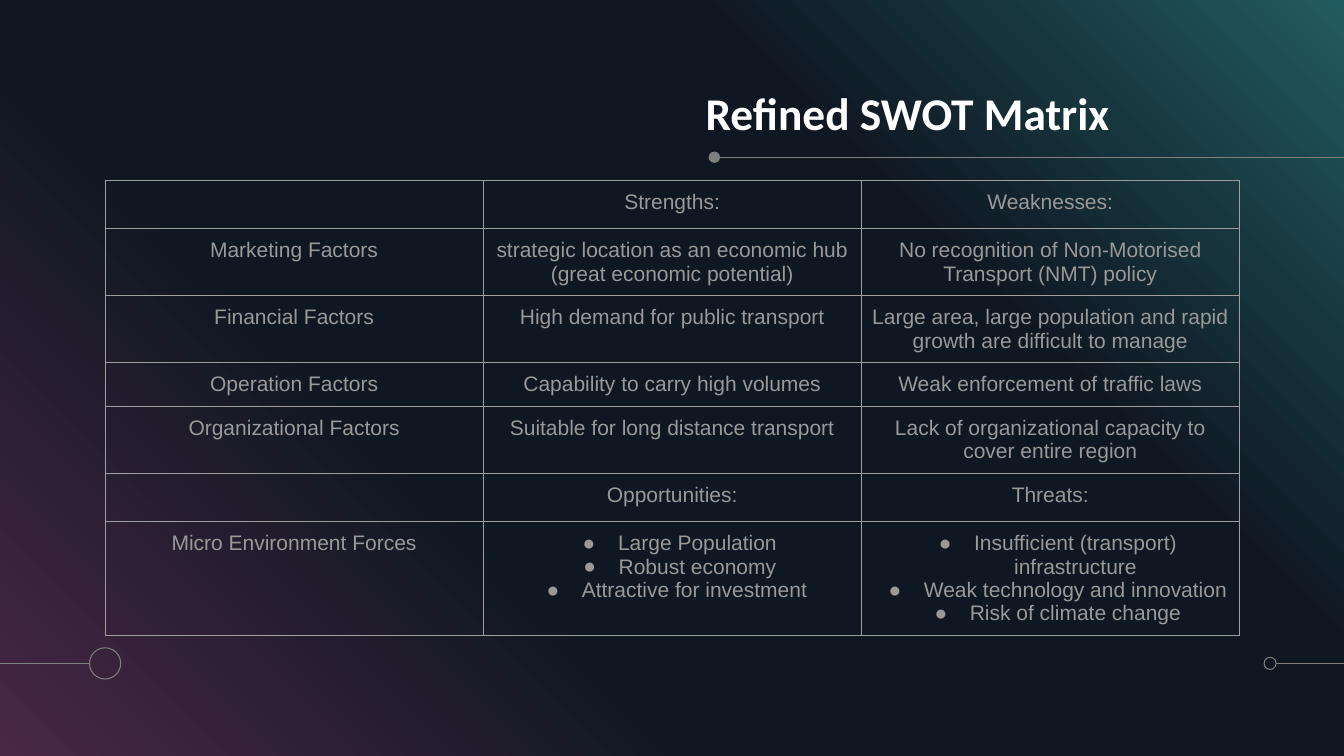
from lxml import etree
from pptx import Presentation
from pptx.dml.color import RGBColor
from pptx.enum.shapes import MSO_CONNECTOR, MSO_SHAPE
from pptx.enum.text import MSO_ANCHOR, MSO_AUTO_SIZE, PP_ALIGN
from pptx.oxml.ns import qn
from pptx.util import Inches, Pt

STRAIGHT = MSO_CONNECTOR.STRAIGHT
RECTANGLE, OVAL = MSO_SHAPE.RECTANGLE, MSO_SHAPE.OVAL
BOTTOM, FIXED_SIZE = MSO_ANCHOR.BOTTOM, MSO_AUTO_SIZE.NONE
LEFT, CENTER = PP_ALIGN.LEFT, PP_ALIGN.CENTER

COLORS = {
    "plum": "482845", "night": "0F1722", "teal": "225B5F", "black": "000000",
    "rule": "7F7F7F", "border": "9E9E9E", "text": "999999", "title": "FFFFFF",
}
BACKDROP_STOPS = [(0, "plum"), (34, "night"), (69, "night"), (100, "teal")]
COLUMN_SHARE = 28.13
ROW_SHARES = [6.4, 8.8, 8.8, 5.8, 8.8, 6.4, 14.9]
SWOT_ROWS = [
    ["", "Strengths:", "Weaknesses:"],
    ["Marketing Factors",
     "strategic location as an economic hub (great economic potential)",
     "No recognition of Non-Motorised Transport (NMT) policy"],
    ["Financial Factors", "High demand for public transport",
     "Large area, large population and rapid growth are difficult to manage"],
    ["Operation Factors", "Capability to carry high volumes",
     "Weak enforcement of traffic laws"],
    ["Organizational Factors", "Suitable for long distance transport",
     "Lack of organizational capacity to cover entire region"],
    ["", "Opportunities:", "Threats:"],
    ["Micro Environment Forces",
     ["Large Population", "Robust economy", "Attractive for investment "],
     ["Insufficient (transport) infrastructure",
      "Weak technology and innovation", "Risk of climate change"]],
]


def color(name):
    return RGBColor.from_string(COLORS[name])


def add_color(parent, name):
    etree.SubElement(parent, qn("a:srgbClr"), val=COLORS[name])


class SlideBuilder:
    """Places elements by percentages of the slide's width and height."""

    def __init__(self, deck):
        self.deck = deck
        self.page = deck.slides.add_slide(deck.slide_layouts[5])
        self.page.background.fill.solid()
        self.page.background.fill.fore_color.rgb = color("black")

    def across(self, share):
        return round(self.deck.slide_width * share / 100)

    def down(self, share):
        return round(self.deck.slide_height * share / 100)

    def backdrop(self, stops):
        box = self.page.shapes.add_shape(
            RECTANGLE, 0, 0, self.across(100), self.down(100))
        box.shadow.inherit = False
        box.line.fill.background()
        box.fill.gradient()
        box.fill.gradient_angle = 45
        stop_list = box.element.spPr.find(qn("a:gradFill")).find(qn("a:gsLst"))
        for old_stop in list(stop_list):
            stop_list.remove(old_stop)
        for position, name in stops:
            stop = etree.SubElement(stop_list, qn("a:gs"), pos=str(position * 1000))
            add_color(stop, name)
        box.element.getparent().insert(2, box.element)

    def rule(self, start, end, row):
        line = self.page.shapes.add_connector(
            STRAIGHT, self.across(start), self.down(row),
            self.across(end), self.down(row))
        line.line.color.rgb = color("rule")
        line.line.width = Pt(0.75)
        etree.SubElement(line.element.spPr, qn("a:effectLst"))

    def circle(self, column, row, diameter, filled=False):
        size = self.down(diameter)
        box = self.page.shapes.add_shape(
            OVAL, self.across(column) - size // 2, self.down(row) - size // 2,
            size, size)
        box.shadow.inherit = False
        if filled:
            box.fill.solid()
            box.fill.fore_color.rgb = color("rule")
            box.line.fill.background()
        else:
            box.fill.background()
            box.line.color.rgb = color("rule")
            box.line.width = Pt(0.75)

    def title(self, text, left, top, width, height):
        box = self.page.shapes.title
        box.left, box.top = self.across(left), self.down(top)
        box.width, box.height = self.across(width), self.down(height)
        frame = box.text_frame
        frame.text = text
        frame.auto_size = FIXED_SIZE
        frame.vertical_anchor = BOTTOM
        frame.margin_left = frame.margin_right = 0
        frame.margin_top = frame.margin_bottom = 0
        para = frame.paragraphs[0]
        para.alignment = LEFT
        para.line_spacing = 0.9
        self.style(para, "Calibri", 32.4, "title", bold=True)

    def style(self, para, font, size, name, bold=False):
        para.font.name = font
        para.font.size = Pt(size)
        para.font.bold = bold
        para.font.color.rgb = color(name)

    def table(self, rows, left, top, column_share, row_shares):
        width = self.across(column_share * len(rows[0]))
        table = self.page.shapes.add_table(
            len(rows), len(rows[0]), self.across(left), self.down(top),
            width, self.down(sum(row_shares))).table
        table.first_row = table.horz_banding = False
        for column in table.columns:
            column.width = self.across(column_share)
        for table_row, share, entries in zip(table.rows, row_shares, rows):
            table_row.height = self.down(share)
            for cell, entry in zip(table_row.cells, entries):
                self.cell(cell, entry)

    def cell(self, cell, entry):
        cell.margin_left = cell.margin_right = Inches(0.1)
        cell.margin_top = cell.margin_bottom = Inches(0.1 if entry else 0)
        for side in ("lnL", "lnR", "lnT", "lnB"):
            border = etree.SubElement(
                cell._tc.get_or_add_tcPr(), qn(f"a:{side}"), w=str(Pt(0.75)))
            add_color(etree.SubElement(border, qn("a:solidFill")), "border")
        cell.fill.background()
        if not entry:
            return
        bulleted = isinstance(entry, list)
        cell.text_frame.text = "\n".join(entry) if bulleted else entry
        for para in cell.text_frame.paragraphs:
            para.alignment = CENTER
            if bulleted:
                self.bullet(para)
            self.style(para, "Arial", 15, "text")

    def bullet(self, para):
        properties = para._p.get_or_add_pPr()
        properties.set("marL", str(Inches(0.5)))
        properties.set("indent", str(Inches(-0.35)))
        add_color(etree.SubElement(properties, qn("a:buClr")), "text")
        etree.SubElement(properties, qn("a:buFont"), typeface="Arial")
        etree.SubElement(properties, qn("a:buChar"), char="●")


def main():
    deck = Presentation()
    deck.slide_width, deck.slide_height = Inches(13.33), Inches(7.5)
    slide = SlideBuilder(deck)
    slide.backdrop(BACKDROP_STOPS)
    slide.rule(53.41, 100, 20.8)
    slide.circle(53.15, 20.8, 1.5, filled=True)
    slide.rule(94.97, 100, 87.75)
    slide.circle(94.5, 87.75, 1.6)
    slide.rule(0, 6.62, 87.75)
    slide.circle(7.82, 87.75, 4.13)
    slide.title("Refined SWOT Matrix", 52.5, 10.27, 36.83, 8.27)
    slide.table(SWOT_ROWS, 7.82, 23.87, COLUMN_SHARE, ROW_SHARES)
    deck.save("out.pptx")


if __name__ == "__main__":
    main()
